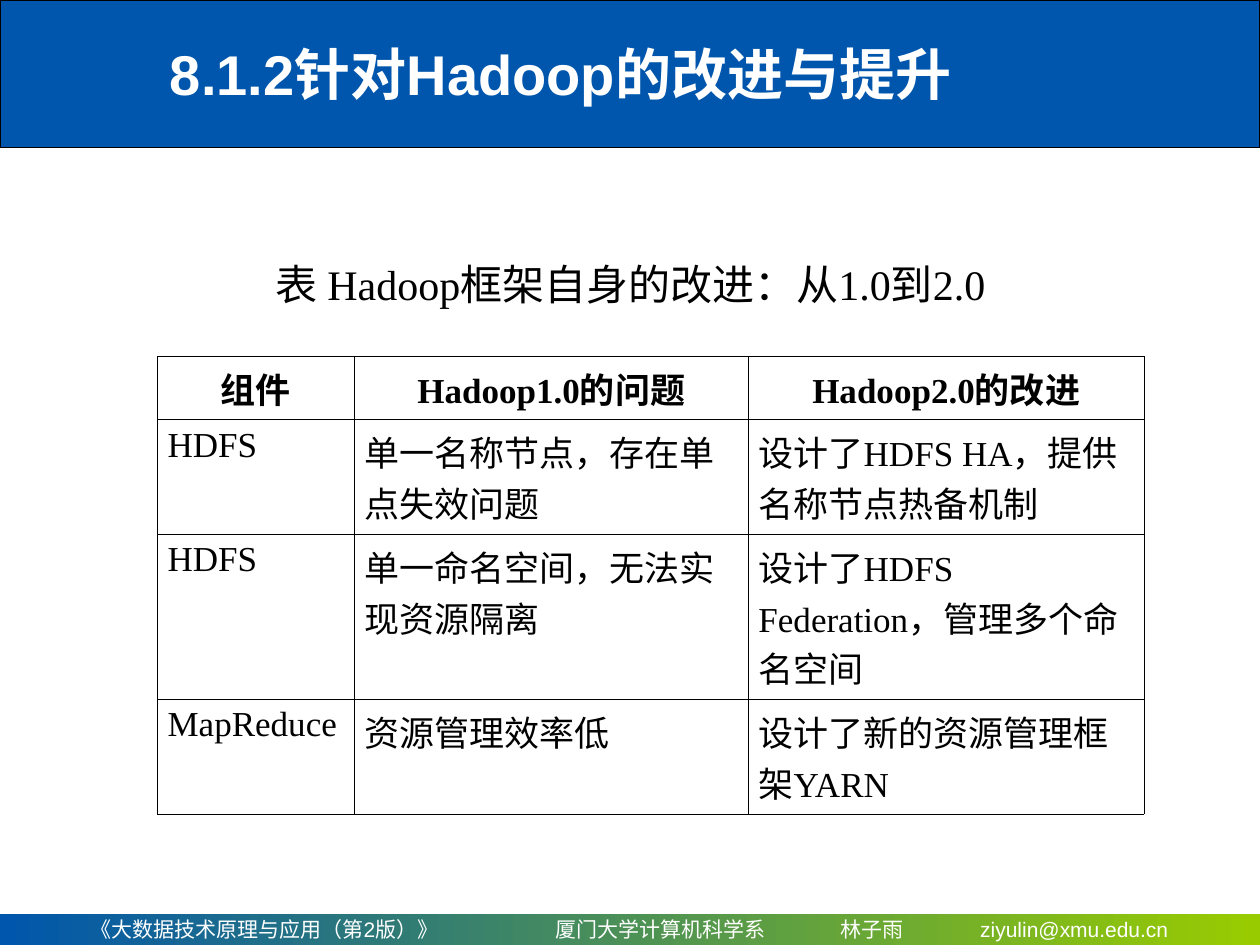
from pptx import Presentation
from pptx.util import Inches, Pt
from pptx.dml.color import RGBColor
from pptx.enum.shapes import MSO_SHAPE
from pptx.enum.text import PP_ALIGN, MSO_ANCHOR
from pptx.oxml import parse_xml
from pptx.oxml.ns import nsdecls

TITLE = "8.1.2针对Hadoop的改进与提升"
CAPTION = "表 Hadoop框架自身的改进：从1.0到2.0"
ROWS = [
    ("组件", "Hadoop1.0的问题", "Hadoop2.0的改进"),
    ("HDFS", "单一名称节点，存在单点失效问题", "设计了HDFS HA，提供名称节点热备机制"),
    ("HDFS", "单一命名空间，无法实现资源隔离", "设计了HDFS Federation，管理多个命名空间"),
    ("MapReduce", "资源管理效率低", "设计了新的资源管理框架YARN"),
]
FOOTER = [
    (0.72, "《大数据技术原理与应用（第2版）》"),
    (4.41, "厦门大学计算机科学系"),
    (6.67, "林子雨"),
    (7.78, "ziyulin@xmu.edu.cn"),
]
WIDTHS = [1.56, 3.13, 3.14]
HEIGHTS = [0.5, 0.91, 1.31, 0.91]

THEME = dict(
    blue="0056AC", green="99CC00", white="FFFFFF", black="000000",
    sans="Arial", serif="Times New Roman",
    title=32, caption=24, body=20, footer=12, line=0.75, border=0.45,
)


def color(name):
    return RGBColor.from_string(THEME[name])


def write(frame, text, size="body", face="serif", ink="black", bold=False,
          align=PP_ALIGN.LEFT, stops=()):
    par = frame.paragraphs[0]
    par.alignment = align
    if stops:
        tabs = "".join(f'<a:tab pos="{Inches(s)}" algn="l"/>' for s in stops)
        props = par._p.get_or_add_pPr()
        props.append(parse_xml(f'<a:tabLst {nsdecls("a")}>{tabs}</a:tabLst>'))
    run = par.add_run()
    run.text = text
    font = run.font
    font.size, font.name, font.bold = Pt(THEME[size]), THEME[face], bold
    font.color.rgb = color(ink)


def add_bar(slide, top, height):
    bar = slide.shapes.add_shape(MSO_SHAPE.RECTANGLE, 0, Inches(top), Inches(10), Inches(height))
    bar.shadow.inherit = False
    return bar


def add_text(slide, box, text, **style):
    frame = slide.shapes.add_textbox(*map(Inches, box)).text_frame
    frame.word_wrap = True
    frame.vertical_anchor = MSO_ANCHOR.MIDDLE
    write(frame, text, **style)


def add_footer(slide):
    bar = add_bar(slide, 7.25, 0.25)
    bar.line.fill.background()
    bar.fill.gradient()
    bar.fill.gradient_angle = 0
    for stop, name, place in zip(bar.fill.gradient_stops, ("blue", "green"), (0, 1)):
        stop.color.rgb = color(name)
        stop.position = place
    start = FOOTER[0][0]
    frame = bar.text_frame
    frame.margin_left, frame.margin_right = Inches(start), 0
    frame.vertical_anchor = MSO_ANCHOR.MIDDLE
    write(frame, "\t".join(text for _, text in FOOTER), size="footer", face="sans",
          ink="white", stops=[left - start for left, _ in FOOTER[1:]])


def add_border(cell):
    props = cell._tc.get_or_add_tcPr()
    for place, side in enumerate("LRTB"):
        props.insert(place, parse_xml(
            f'<a:ln{side} {nsdecls("a")} w="{Pt(THEME["border"])}"><a:solidFill>'
            f'<a:srgbClr val="{THEME["black"]}"/></a:solidFill></a:ln{side}>'))


def add_grid(slide):
    box = (1.25, 2.83, sum(WIDTHS), sum(HEIGHTS))
    table = slide.shapes.add_table(len(ROWS), len(WIDTHS), *map(Inches, box)).table
    table.horz_banding = False
    for col, width in zip(table.columns, WIDTHS):
        col.width = Inches(width)
    for r, row in enumerate(ROWS):
        table.rows[r].height = Inches(HEIGHTS[r])
        head = r == 0
        for c, text in enumerate(row):
            cell = table.cell(r, c)
            cell.margin_left = cell.margin_right = Inches(0.08)
            cell.margin_top = cell.margin_bottom = Inches(0.05)
            cell.fill.background()
            add_border(cell)
            write(cell.text_frame, text, bold=head,
                  align=PP_ALIGN.CENTER if head else PP_ALIGN.LEFT)


def main():
    deck = Presentation()
    deck.slide_width, deck.slide_height = Inches(10), Inches(7.5)
    slide = deck.slides.add_slide(deck.slide_layouts[6])
    band = add_bar(slide, 0, 1.17)
    band.fill.solid()
    band.fill.fore_color.rgb = color("blue")
    band.line.color.rgb = color("black")
    band.line.width = Pt(THEME["line"])
    add_footer(slide)
    add_text(slide, (1.25, 0.08, 8.75, 1), TITLE, size="title", face="sans",
             ink="white", bold=True)
    add_grid(slide)
    add_text(slide, (1.67, 2, 6.67, 0.5), CAPTION, size="caption", align=PP_ALIGN.CENTER)
    deck.save("out.pptx")


if __name__ == "__main__":
    main()
